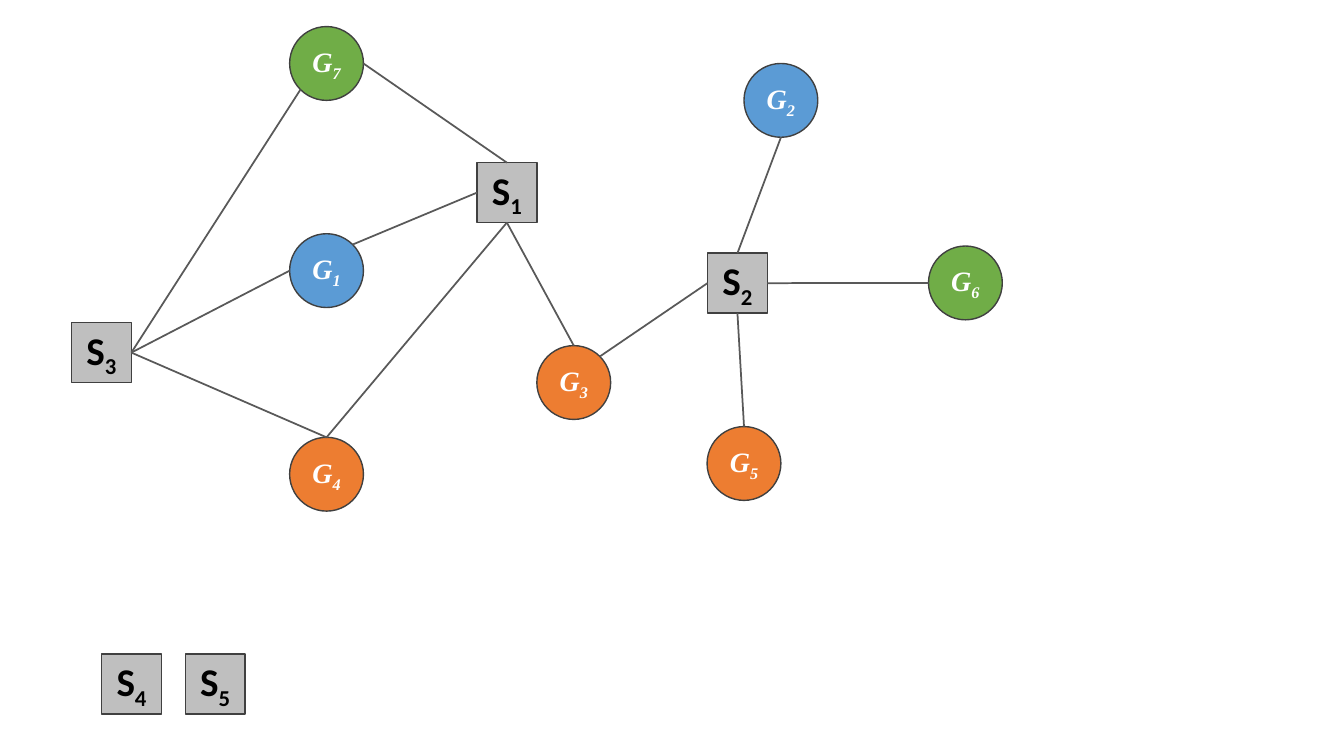
"""Build a slide with a graph of S squares and G circles joined by lines."""
from dataclasses import dataclass
from enum import IntEnum
from math import cos, pi, sin

from lxml.etree import SubElement
from pptx import Presentation
from pptx.dml.color import RGBColor
from pptx.enum.shapes import MSO_CONNECTOR as CONN, MSO_SHAPE as SHAPE
from pptx.enum.text import MSO_ANCHOR as ANCHOR, PP_ALIGN as ALIGN
from pptx.oxml.ns import qn
from pptx.util import Cm, Pt


@dataclass(frozen=True)
class Theme:
    blue: str = "5B9BD5"
    orange: str = "ED7D31"
    green: str = "70AD47"
    grey: str = "BFBFBF"
    outline: str = "404040"
    edge: str = "595959"
    black: str = "000000"
    white: str = "FFFFFF"
    square_pt: int = 28
    circle_pt: int = 20
    outline_pt: float = 1
    edge_pt: float = 1.25


@dataclass(frozen=True)
class Kind:
    shape: SHAPE
    size: float
    site_step: int
    font: dict


@dataclass(frozen=True)
class Node:
    label: str
    left: float
    top: float
    fill: str
    kind: Kind


@dataclass(frozen=True)
class Edge:
    start: str
    start_side: "Side"
    end: str
    end_side: "Side"


class Side(IntEnum):
    """Eight directions, counterclockwise from the top."""
    TOP = 0
    TOP_LEFT = 1
    LEFT = 2
    BOTTOM_LEFT = 3
    BOTTOM = 4
    BOTTOM_RIGHT = 5
    RIGHT = 6
    TOP_RIGHT = 7


T = Theme()
SQUARE = Kind(SHAPE.RECTANGLE, 1.51, 2,
              dict(font="Calibri", size=T.square_pt, color=T.black))
CIRCLE = Kind(SHAPE.OVAL, 1.86, 1,
              dict(font="Times New Roman", size=T.circle_pt, color=T.white, italic=True))

NODES = [
    Node("S4", 2.56, 16.48, T.grey, SQUARE),
    Node("S5", 4.67, 16.48, T.grey, SQUARE),
    Node("G1", 7.3, 5.89, T.blue, CIRCLE),
    Node("G2", 18.75, 1.6, T.blue, CIRCLE),
    Node("G3", 13.53, 8.71, T.orange, CIRCLE),
    Node("G4", 7.3, 11.02, T.orange, CIRCLE),
    Node("G5", 17.82, 10.75, T.orange, CIRCLE),
    Node("S1", 12.02, 4.1, T.grey, SQUARE),
    Node("S2", 17.83, 6.38, T.grey, SQUARE),
    Node("S3", 1.8, 8.13, T.grey, SQUARE),
    Node("G6", 23.4, 6.2, T.green, CIRCLE),
    Node("G7", 7.3, 0.67, T.green, CIRCLE),
]
EDGES = [
    Edge("S1", Side.LEFT, "G1", Side.TOP_RIGHT),
    Edge("G4", Side.TOP, "S1", Side.BOTTOM),
    Edge("G7", Side.RIGHT, "S1", Side.TOP),
    Edge("S3", Side.RIGHT, "G4", Side.TOP),
    Edge("S1", Side.BOTTOM, "G3", Side.TOP),
    Edge("S2", Side.BOTTOM, "G5", Side.TOP),
    Edge("S2", Side.RIGHT, "G6", Side.LEFT),
    Edge("S2", Side.TOP, "G2", Side.BOTTOM),
    Edge("G1", Side.LEFT, "S3", Side.RIGHT),
    Edge("G7", Side.BOTTOM_LEFT, "S3", Side.RIGHT),
    Edge("S2", Side.LEFT, "G3", Side.TOP_RIGHT),
]


def rgb(value: str) -> RGBColor:
    return RGBColor.from_string(value)


def add_run(p, text: str, *, font: str, size: float, color: str,
            italic: bool = False, subscript: bool = False) -> None:
    r = p.add_run()
    r.text = text
    r.font.name, r.font.size = font, Pt(size)
    r.font.bold, r.font.italic = True, italic
    r.font.color.rgb = rgb(color)
    if subscript:
        r._r.get_or_add_rPr().set("baseline", "-25000")


def add_node(s, node: Node):
    kind = node.kind
    sp = s.shapes.add_shape(kind.shape, Cm(node.left), Cm(node.top),
                            Cm(kind.size), Cm(kind.size))
    sp.shadow.inherit = False
    sp.fill.solid()
    sp.fill.fore_color.rgb = rgb(node.fill)
    sp.line.color.rgb = rgb(T.outline)
    sp.line.width = Pt(T.outline_pt)
    tf = sp.text_frame
    tf.margin_left = tf.margin_right = tf.margin_top = tf.margin_bottom = 0
    tf.vertical_anchor = ANCHOR.MIDDLE
    p = tf.paragraphs[0]
    p.alignment = ALIGN.CENTER
    letter, number = node.label
    add_run(p, letter, **kind.font)
    add_run(p, number, subscript=True, **kind.font)
    return sp


def side_point(node: Node, side: Side) -> tuple[Cm, Cm]:
    radius, angle = node.kind.size / 2, pi / 2 + side * pi / 4
    return (Cm(node.left + radius * (1 + cos(angle))),
            Cm(node.top + radius * (1 - sin(angle))))


def add_edge(s, edge: Edge, nodes: dict[str, Node], shapes: dict) -> None:
    ends = [("a:stCxn", edge.start, edge.start_side), ("a:endCxn", edge.end, edge.end_side)]
    start, end = (side_point(nodes[label], side) for _, label, side in ends)
    line = s.shapes.add_connector(CONN.STRAIGHT, *start, *end)
    line.line.color.rgb = rgb(T.edge)
    line.line.width = Pt(T.edge_pt)
    SubElement(line._element.spPr, qn("a:effectLst"))
    glue = line._element.find(".//" + qn("p:cNvCxnSpPr"))
    for tag, label, side in ends:
        SubElement(glue, qn(tag), id=str(shapes[label].shape_id),
                   idx=str(side // nodes[label].kind.site_step))


def main() -> None:
    prs = Presentation()
    prs.slide_width, prs.slide_height = Cm(33.87), Cm(19.05)
    s = prs.slides.add_slide(prs.slide_layouts[6])
    nodes = {node.label: node for node in NODES}
    shapes = {node.label: add_node(s, node) for node in NODES}
    for edge in EDGES:
        add_edge(s, edge, nodes, shapes)
    prs.save("out.pptx")


main()
